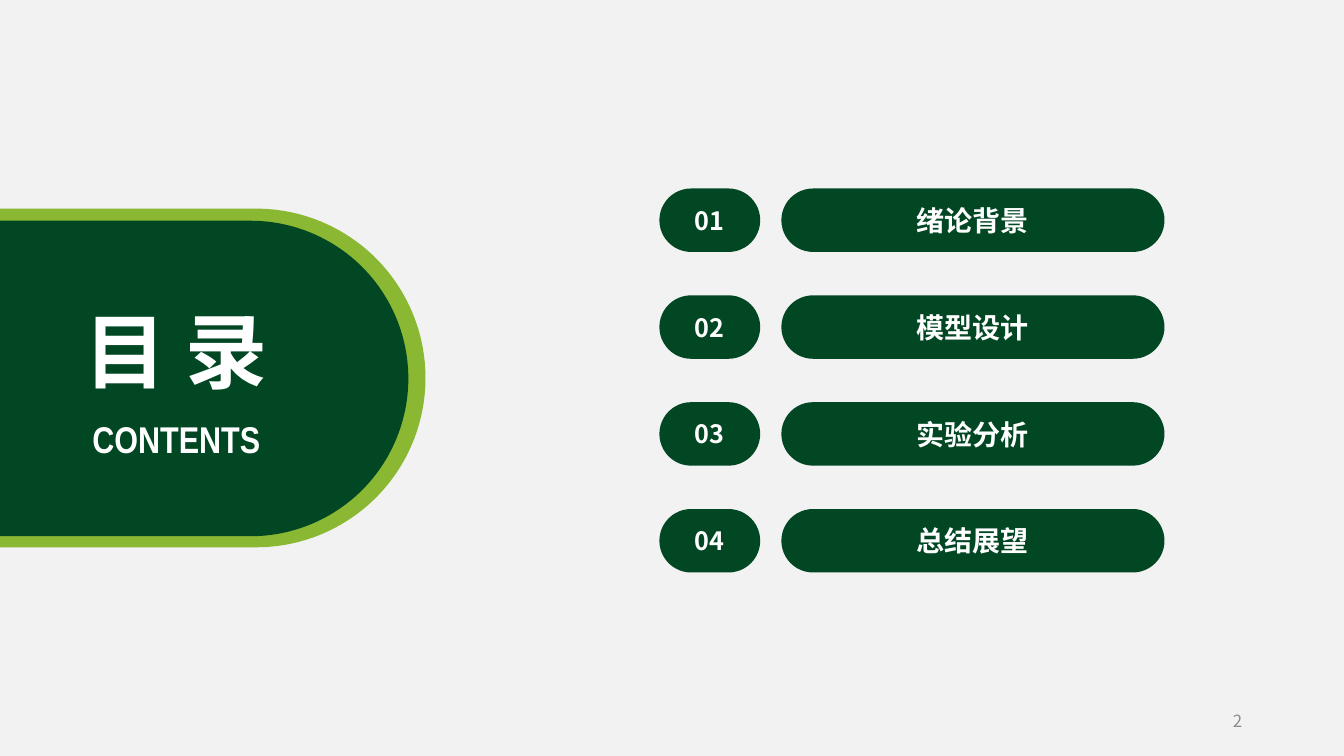
from dataclasses import dataclass

from lxml.etree import SubElement
from pptx import Presentation
from pptx.dml.color import RGBColor
from pptx.enum.shapes import MSO_SHAPE as Shape
from pptx.enum.text import MSO_ANCHOR as Anchor, MSO_AUTO_SIZE as AutoSize, PP_ALIGN as Align
from pptx.oxml.ns import qn
from pptx.util import Pt

PX = 9144  # EMU per px, 100 px to the inch


@dataclass(frozen=True)
class Theme:
    background: str = "F2F2F2"
    green: str = "014723"
    lime: str = "8AB833"
    white: str = "FFFFFF"
    grey: str = "8C8C8C"
    font: str = "Noto Sans CJK SC"
    narrow_font: str = "Arial Narrow"
    title_size: float = 58.6
    subtitle_size: float = 26.6
    label_size: float = 20
    number_size: float = 18
    page_size: float = 12


THEME = Theme()
CHAPTERS = ["绪论背景", "模型设计", "实验分析", "总结展望"]


def emu(*lengths):
    return [length * PX for length in lengths]


def write(target, text, *, size, color=THEME.white, font=THEME.font, bold=True,
          align=Align.CENTER, anchor=Anchor.MIDDLE, wrap=True, grow=False):
    frame = target.text_frame
    frame.word_wrap = wrap
    frame.auto_size = AutoSize.SHAPE_TO_FIT_TEXT if grow else AutoSize.NONE
    frame.vertical_anchor = anchor
    paragraph = frame.paragraphs[0]
    paragraph.alignment = align
    run = paragraph.add_run()
    run.text = text
    run.font.size = Pt(size)
    run.font.bold = bold
    run.font.name = font
    run.font.color.rgb = RGBColor.from_string(color)
    # Chinese characters take their typeface from a:ea
    SubElement(run.font._element, qn("a:ea"), typeface=font)


def add_pill(slide, box, color):
    pill = slide.shapes.add_shape(Shape.ROUNDED_RECTANGLE, *emu(*box))
    pill.adjustments[0] = 0.5
    pill.shadow.inherit = False
    pill.fill.solid()
    pill.fill.fore_color.rgb = RGBColor.from_string(color)
    pill.line.fill.background()
    return pill


def add_heading_panel(slide, box):
    """Draw the lime-edged panel that runs off the left side, with its title."""
    left, top, width, height = box
    add_pill(slide, box, THEME.lime)
    add_pill(slide, (left + 26, top + 12, width - 43, height - 23), THEME.green)

    title = slide.shapes.title
    title.left, title.top, title.width, title.height = emu(left + 266, top + 86, 209, 109)
    write(title, "目 录", size=THEME.title_size, anchor=Anchor.TOP, wrap=False, grow=True)
    slide.shapes.element.append(title.element)  # in front of the panel

    subtitle = slide.shapes.add_textbox(*emu(left + 258, top + 201, 226, 55))
    write(subtitle, "CONTENTS", size=THEME.subtitle_size, font=THEME.narrow_font,
          anchor=Anchor.TOP, wrap=False, grow=True)


def add_chapter_list(slide, box, chapters, row_height=63, number_width=100, gap=21):
    left, top, width, height = box
    pitch = (height - row_height) // (len(chapters) - 1)
    label_left = left + number_width + gap
    label_width = width - number_width - gap
    for index, chapter in enumerate(chapters):
        row_top = top + index * pitch
        number = add_pill(slide, (left, row_top, number_width, row_height), THEME.green)
        write(number, f"{index + 1:02}", size=THEME.number_size)
        label = add_pill(slide, (label_left, row_top, label_width, row_height), THEME.green)
        write(label, chapter, size=THEME.label_size)


def add_page_number(slide, box, page):
    write(slide.shapes.add_textbox(*emu(*box)), str(page), size=THEME.page_size,
          color=THEME.grey, bold=False, align=Align.RIGHT)


def main():
    deck = Presentation()
    deck.slide_width, deck.slide_height = emu(1333, 750)
    slide = deck.slides.add_slide(deck.slide_layouts[5])
    slide.background.fill.solid()
    slide.background.fill.fore_color.rgb = RGBColor.from_string(THEME.background)

    add_heading_panel(slide, (-196, 207, 618, 336))
    add_chapter_list(slide, (654, 187, 501, 381), CHAPTERS)
    add_page_number(slide, (942, 695, 300, 40), 2)
    deck.save("out.pptx")


if __name__ == "__main__":
    main()
